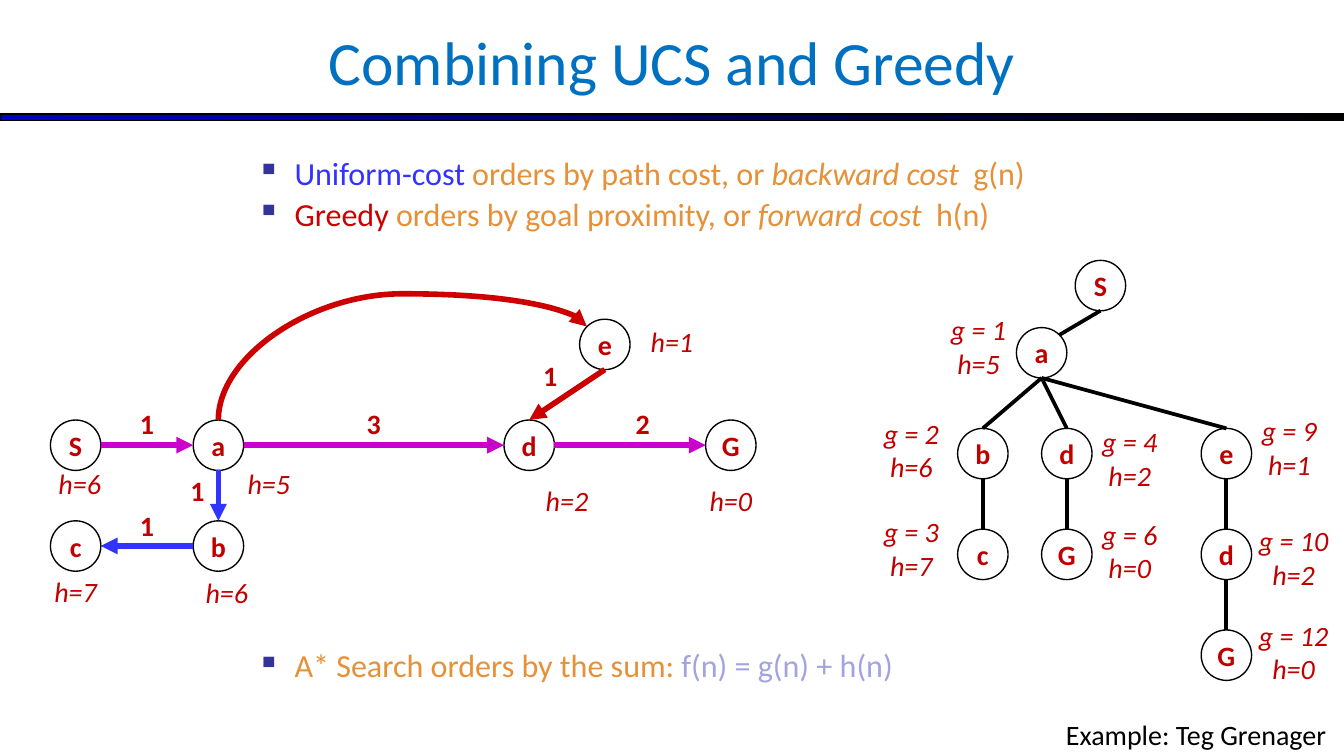
"""Build the slide that combines uniform-cost and greedy search."""
import pptx
import pptx.dml.color
import pptx.enum.shapes
import pptx.enum.text
import pptx.oxml
import pptx.oxml.ns
import pptx.util

Pt = pptx.util.Pt
ALIGN = pptx.enum.text.PP_ALIGN
ANCHOR = pptx.enum.text.MSO_ANCHOR
SHAPE = pptx.enum.shapes.MSO_SHAPE
CONNECTOR = pptx.enum.shapes.MSO_CONNECTOR
BLACK, WHITE, RED, DARK_RED = "000000", "FFFFFF", "CC0000", "C00000"
BLUE, MAGENTA, ORANGE, LILAC = "3333FF", "CC00CC", "E69138", "A3A3E0"
SIDES = {"top": (0, -1), "left": (-1, 0), "bottom": (0, 1), "right": (1, 0),
         "top left": (-0.71, -0.71), "top right": (0.71, -0.71)}


def color(value):
    return pptx.dml.color.RGBColor.from_string(value)


def add_xml(parent, tag, attributes="", content=""):
    namespace = pptx.oxml.ns.nsdecls("a")
    parent.append(pptx.oxml.parse_xml(f"<a:{tag} {namespace} {attributes}>{content}</a:{tag}>"))


class Diagram:
    font = "Calibri"
    size = 15
    diameter = 27

    def __init__(self, slide):
        self.shapes = slide.shapes

    def format(self, font, fill, size=None, bold=False, italic=False):
        font.name, font.size = self.font, Pt(size or self.size)
        font.bold, font.italic = bold, italic
        font.color.rgb = color(fill)

    def frame(self, shape, wrap=True, anchor=ANCHOR.TOP, margins=(5, 2.6)):
        text_frame = shape.text_frame
        text_frame.word_wrap, text_frame.vertical_anchor = wrap, anchor
        text_frame.margin_left = text_frame.margin_right = Pt(margins[0])
        text_frame.margin_top = text_frame.margin_bottom = Pt(margins[1])
        return text_frame

    def text(self, words, left, top, width, height=23.8, fill=DARK_RED, align=ALIGN.CENTER,
             anchor=ANCHOR.TOP, **style):
        box = self.shapes.add_textbox(Pt(left), Pt(top), Pt(width), Pt(height))
        text_frame = self.frame(box, anchor=anchor)
        text_frame.text = words
        paragraph = text_frame.paragraphs[0]
        paragraph.alignment = align
        self.format(paragraph.runs[0].font, fill, **style)

    def bullets(self, items, left, top, width, height):
        box = self.shapes.add_textbox(Pt(left), Pt(top), Pt(width), Pt(height))
        text_frame = self.frame(box, margins=(7.2, 3.6))
        for index, (space, runs) in enumerate(items):
            paragraph = text_frame.add_paragraph() if index else text_frame.paragraphs[0]
            paragraph.line_spacing, paragraph.space_before = 0.9, Pt(space)
            properties = paragraph._p.get_or_add_pPr()
            properties.set("marL", str(Pt(20.25)))
            properties.set("indent", str(Pt(-20.25)))
            add_xml(properties, "buClr", content='<a:srgbClr val="333399"/>')
            add_xml(properties, "buChar", 'char="▪"')
            for words, fill, italic in runs:
                run = paragraph.add_run()
                run.text = words
                self.format(run.font, fill, size=17.2, italic=italic)

    def bar(self, left, top, width, height, start, end):
        shape = self.shapes.add_shape(SHAPE.RECTANGLE, Pt(left), Pt(top), Pt(width), Pt(height))
        shape.shadow.inherit = False
        shape.fill.gradient()
        shape.fill.gradient_angle = 0
        for stop, position, value in zip(shape.fill.gradient_stops, (0, 1), (start, end)):
            stop.position, stop.color.rgb = position, color(value)
        shape.line.color.rgb, shape.line.width = color(BLACK), Pt(0.75)

    def node(self, name, left, top):
        shape = self.shapes.add_shape(SHAPE.OVAL, Pt(left), Pt(top), Pt(self.diameter), Pt(self.diameter))
        shape.shadow.inherit = False
        shape.fill.solid()
        shape.fill.fore_color.rgb = color(WHITE)
        shape.line.color.rgb, shape.line.width = color(BLACK), Pt(0.75)
        text_frame = self.frame(shape, wrap=False, anchor=ANCHOR.MIDDLE)
        text_frame.text = name
        paragraph = text_frame.paragraphs[0]
        paragraph.alignment = ALIGN.CENTER
        self.format(paragraph.runs[0].font, DARK_RED, bold=True)

    def side_point(self, corner, side):
        radius = self.diameter / 2
        return [start + radius * (1 + shift) for start, shift in zip(corner, SIDES[side])]

    def finish_line(self, connector, fill, width, arrow):
        connector.line.color.rgb, connector.line.width = color(fill), Pt(width)
        if arrow:
            add_xml(connector.line._get_or_add_ln(), "tailEnd", 'type="triangle"')
        add_xml(connector._element.spPr, "effectLst")

    def edge(self, start, start_side, end, end_side, fill=BLACK, width=2, arrow=False):
        points = self.side_point(start, start_side) + self.side_point(end, end_side)
        connector = self.shapes.add_connector(CONNECTOR.STRAIGHT, *map(Pt, points))
        self.finish_line(connector, fill, width, arrow)

    def arc(self, start, end, fill, width, bend):
        x1, y1 = self.side_point(start, "top")
        x2, y2 = self.side_point(end, "top left")
        middle_x, middle_y = (x1 + x2) / 2, (y1 + y2) / 2
        half_width, half_height = (y1 - y2) / 2, (x2 - x1) / 2
        connector = self.shapes.add_connector(
            CONNECTOR.CURVE, Pt(middle_x - half_width), Pt(middle_y - half_height),
            Pt(middle_x + half_width), Pt(middle_y + half_height))
        connector.rotation = 270
        geometry = connector._element.spPr.prstGeom
        for child in list(geometry):
            geometry.remove(child)
        guide = f'<a:gd name="adj1" fmla="val {round(bend * 100000)}"/>'
        add_xml(geometry, "avLst", content=guide)
        self.finish_line(connector, fill, width, True)


def main():
    presentation = pptx.Presentation()
    presentation.slide_width, presentation.slide_height = Pt(720), Pt(405)
    diagram = Diagram(presentation.slides.add_slide(presentation.slide_layouts[6]))

    diagram.bar(0, 61, 720, 3.6, "0000CC", BLACK)
    diagram.text("Combining UCS and Greedy", 0, -1.4, 720, 67.7, "0070C0", anchor=ANCHOR.MIDDLE, size=33)
    diagram.bullets([
        (0, [("Uniform-cost ", BLUE, False), ("orders by path cost, or ", ORANGE, False),
             ("backward cost  ", ORANGE, True), ("g(n)", ORANGE, False)]),
        (3.4, [("Greedy ", RED, False), ("orders by goal proximity, or ", ORANGE, False),
               ("forward cost  ", ORANGE, True), ("h(n)", ORANGE, False)]),
        (223.2, [("A* Search orders by the sum: ", ORANGE, False), ("f(n) = g(n) + h(n)", LILAC, False)]),
    ], 130.5, 81, 486, 297)

    graph = {"S": (27, 225), "a": (103.5, 225), "d": (270, 225), "G": (378, 225),
             "c": (27, 279), "b": (103.5, 279), "e": (310.5, 171)}
    tree = {"S": (576, 139.5), "a": (544.5, 175.5), "b": (513, 229.5), "c": (513, 283.5),
            "d": (558, 229.5), "G": (558, 283.5), "e": (643.5, 229.5),
            "e d": (643.5, 283.5), "e d G": (643.5, 337.5)}
    for nodes in (graph, tree):
        for route, corner in nodes.items():
            diagram.node(route.split()[-1], *corner)

    for start, start_side, end, end_side, fill in [
            ("a", "bottom", "b", "top", BLUE), ("b", "left", "c", "right", BLUE),
            ("e", "bottom", "d", "top", RED), ("d", "right", "G", "left", MAGENTA),
            ("S", "right", "a", "left", MAGENTA), ("a", "right", "d", "left", MAGENTA)]:
        diagram.edge(graph[start], start_side, graph[end], end_side, fill, 3, True)
    diagram.arc(graph["a"], graph["e"], RED, 3, 1.35)

    diagram.edge(tree["S"], "bottom", tree["a"], "top right")
    for start, end in [("a", "b"), ("a", "d"), ("a", "e"), ("b", "c"), ("d", "G"),
                       ("e", "e d"), ("e d", "e d G")]:
        diagram.edge(tree[start], "bottom", tree[end], "top")

    for cost, left, top in [("1", 63, 215.3), ("3", 184.5, 215.3), ("2", 328.5, 215.3),
                            ("1", 63, 270), ("1", 90, 251.3), ("1", 279, 189.3)]:
        diagram.text(cost, left, top, 31.5, bold=True)
    for estimate, left, top, width in [
            ("h=6", 18, 247.5, 49.5), ("h=5", 117, 247.5, 54), ("h=2", 283.5, 256.5, 40.5),
            ("h=0", 364.5, 256.5, 54), ("h=7", 18, 305.3, 45), ("h=6", 99, 306, 45),
            ("h=1", 337.5, 171, 45)]:
        diagram.text(estimate, left, top, width, italic=True)
    for costs, left, top, width in [
            ("g = 1 h=5", 499.5, 165, 49.5), ("g = 2 h=6", 463.5, 220.3, 49.5),
            ("g = 3 h=7", 463.5, 273, 49.5), ("g = 4 h=2", 580.5, 225, 49.5),
            ("g = 6 h=0", 580.5, 274.5, 49.5), ("g = 9 h=1", 666, 219, 49.5),
            ("g = 10 h=2", 666, 278, 54), ("g = 12 h=0", 666, 328.5, 54)]:
        diagram.text(costs, left, top, width, 41.8, italic=True)
    diagram.text("Example: Teg Grenager", 549, 381.6, 166.5, fill=BLACK, align=ALIGN.RIGHT)

    presentation.save("out.pptx")


if __name__ == "__main__":
    main()
